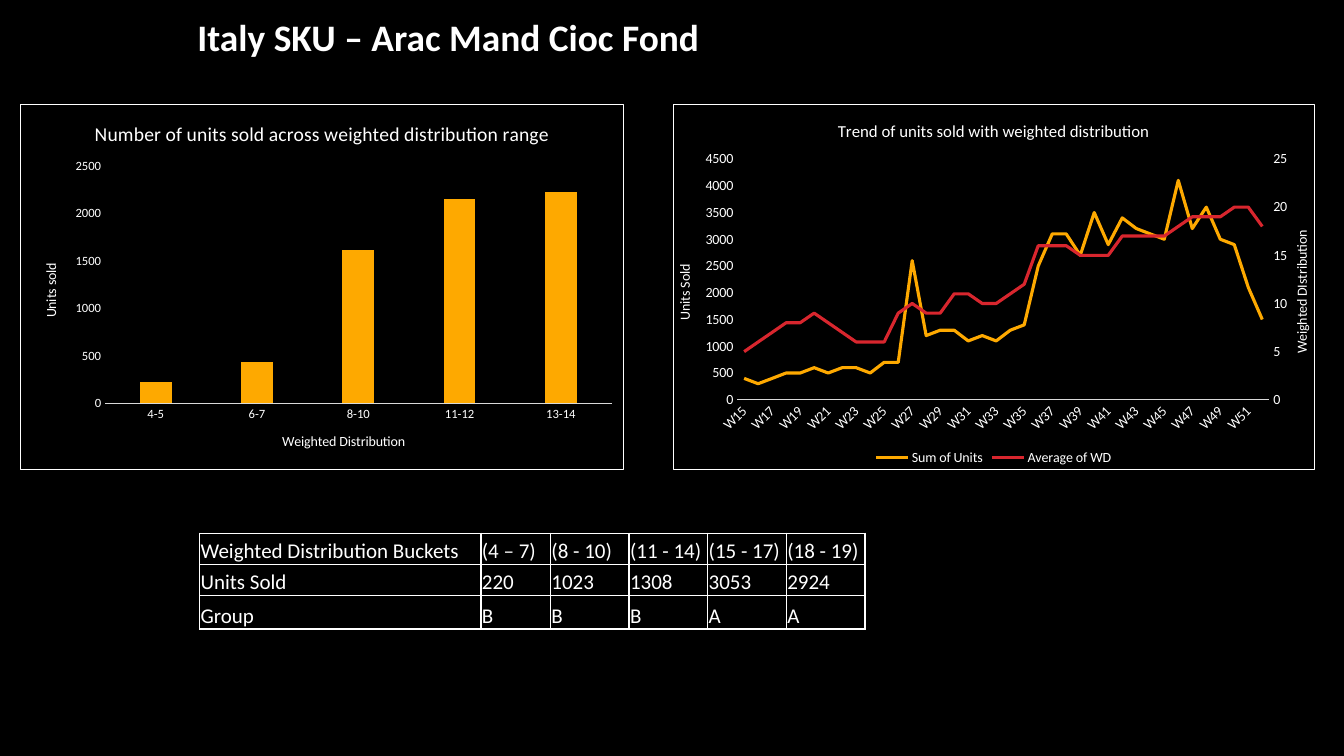
from copy import deepcopy

from lxml import etree
from pptx import Presentation
from pptx.chart.data import CategoryChartData
from pptx.dml.color import RGBColor
from pptx.enum.chart import XL_CHART_TYPE, XL_LEGEND_POSITION, XL_TICK_MARK
from pptx.enum.text import MSO_ANCHOR
from pptx.oxml import parse_xml
from pptx.oxml.ns import nsdecls, qn
from pptx.util import Inches, Pt

BLACK = RGBColor(0x00, 0x00, 0x00)
WHITE = RGBColor(0xFF, 0xFF, 0xFF)
AXIS_GREY = RGBColor(0xD9, 0xD9, 0xD9)
AMBER = RGBColor(0xFE, 0xA9, 0x00)
RED = RGBColor(0xD8, 0x26, 0x2E)
COLUMNS, LINES = XL_CHART_TYPE.COLUMN_CLUSTERED, XL_CHART_TYPE.LINE
NO_TICK = XL_TICK_MARK.NONE
LEGEND_BOTTOM = XL_LEGEND_POSITION.BOTTOM
BOTTOM, MIDDLE = MSO_ANCHOR.BOTTOM, MSO_ANCHOR.MIDDLE
FONT = "Calibri"

RANGES = ["4-5", "6-7", "8-10", "11-12", "13-14"]
RANGE_UNITS = [220, 440, 1620, 2160, 2230]
WEEKS = [f"W{week}" for week in range(15, 53)]
WEEK_UNITS = [400, 300, 400, 500, 500, 600, 500, 600, 600, 500, 700, 700, 2600,
              1200, 1300, 1300, 1100, 1200, 1100, 1300, 1400, 2500, 3100, 3100,
              2700, 3500, 2900, 3400, 3200, 3100, 3000, 4100, 3200, 3600, 3000,
              2900, 2100, 1500]
WEEK_DISTRIBUTION = [5, 6, 7, 8, 8, 9, 8, 7, 6, 6, 6, 9, 10, 9, 9, 11, 11, 10, 10,
                     11, 12, 16, 16, 16, 15, 15, 15, 17, 17, 17, 17, 18, 19, 19,
                     19, 20, 20, 18]
BUCKETS = [
    ["Weighted Distribution Buckets", "(4 – 7)", "(8 - 10)", "(11 - 14)",
     "(15 - 17)", "(18 - 19)"],
    ["Units Sold", "220", "1023", "1308", "3053", "2924"],
    ["Group", "B", "B", "B", "A", "A"],
]
BUCKET_WIDTHS = [2.79, 0.69, 0.78, 0.78, 0.78, 0.78]
BUCKET_HEIGHTS = [0.31, 0.31, 0.33]


def set_values(target, values):
    for key, value in values.items():
        setattr(target, key, value)


def set_font(font, size, bold=False):
    set_values(font, {"name": FONT, "size": Pt(size), "bold": bold})
    font.color.rgb = WHITE


def add_heading(slide, text):
    heading = slide.shapes.add_textbox(Inches(1.86), Inches(0.17),
                                       Inches(10.84), Inches(0.47))
    set_values(heading.text_frame, {"word_wrap": True, "vertical_anchor": MIDDLE})
    paragraph = heading.text_frame.paragraphs[0]
    paragraph.text = text
    paragraph.line_spacing = 0.8
    set_font(paragraph.runs[0].font, 26.7, bold=True)


def write_title(title, text, size):
    title.text_frame.text = text
    set_font(title.text_frame.paragraphs[0].runs[0].font, size)


def title_axis(axis, text, upright=False):
    axis.has_title = True
    write_title(axis.axis_title, text, 10)
    if upright:
        body = axis.axis_title.element.find(".//" + qn("a:bodyPr"))
        body.set("rot", "-5400000")
        body.set("vert", "horz")


def frame_chart(chart, plot_box):
    """Outline the chart area and place the inner plot area."""
    space = chart.element
    if space.find(qn("c:roundedCorners")) is None:
        space.find(qn("c:date1904")).addnext(
            parse_xml(f'<c:roundedCorners {nsdecls("c")} val="0"/>'))
    space.find(qn("c:chart")).addnext(parse_xml(
        f'<c:spPr {nsdecls("c", "a")}><a:noFill/><a:ln w="9525"><a:solidFill>'
        f'<a:srgbClr val="{WHITE}"/></a:solidFill></a:ln></c:spPr>'))
    plot_area = space.find(".//" + qn("c:plotArea"))
    for layout in plot_area.findall(qn("c:layout")):
        plot_area.remove(layout)
    places = "".join(f'<c:{key} val="{value}"/>'
                     for key, value in zip("xywh", plot_box))
    plot_area.insert(0, parse_xml(
        f'<c:layout {nsdecls("c")}><c:manualLayout><c:layoutTarget val="inner"/>'
        f'<c:xMode val="edge"/><c:yMode val="edge"/>{places}'
        '</c:manualLayout></c:layout>'))


def add_framed_chart(slide, kind, left, width, categories, series, title,
                     title_size, label_size, units_title, top_value, plot_box):
    data = CategoryChartData()
    data.categories = categories
    for name, values in series:
        data.add_series(name, values)
    chart = slide.shapes.add_chart(kind, Inches(left), Inches(1.03),
                                   Inches(width), Inches(3.63), data).chart
    set_font(chart.font, 10)
    set_values(chart, {"has_title": True, "has_legend": False})
    write_title(chart.chart_title, title, title_size)
    chart.plots[0].vary_by_categories = False
    for axis in (chart.category_axis, chart.value_axis):
        set_values(axis, {"has_major_gridlines": False, "major_tick_mark": NO_TICK,
                          "minor_tick_mark": NO_TICK})
        set_font(axis.tick_labels.font, label_size)
    chart.category_axis.format.line.color.rgb = AXIS_GREY
    chart.category_axis.format.line.width = Pt(0.75)
    chart.value_axis.format.line.fill.background()
    set_values(chart.value_axis, {"minimum_scale": 0, "maximum_scale": top_value,
                                  "major_unit": 500})
    title_axis(chart.value_axis, units_title, upright=True)
    frame_chart(chart, plot_box)
    return chart


def move_to_right_axis(chart, title, top_value, step):
    """Put the second line on its own value axis at the right."""
    plot_area = chart.element.find(".//" + qn("c:plotArea"))
    left_lines = plot_area.find(qn("c:lineChart"))
    right_lines = deepcopy(left_lines)
    left_lines.remove(left_lines.findall(qn("c:ser"))[1])
    right_lines.remove(right_lines.find(qn("c:ser")))
    left_lines.addnext(right_lines)
    weeks_axis, units_axis = (plot_area.find(qn(tag)) for tag in ("c:catAx", "c:valAx"))
    hidden_axis, right_axis = deepcopy(weeks_axis), deepcopy(units_axis)
    units_axis.addnext(right_axis)
    right_axis.addnext(hidden_axis)
    for axis_id, number in zip(right_lines.findall(qn("c:axId")), ("5001", "5002")):
        axis_id.set("val", number)
    changes = [
        (hidden_axis, {"axId": "5001", "crossAx": "5002", "delete": "1"}),
        (right_axis, {"axId": "5002", "crossAx": "5001", "axPos": "r",
                      "crosses": "max", "scaling/c:max": top_value,
                      "majorUnit": step}),
    ]
    for axis, values in changes:
        for tag, value in values.items():
            axis.find("c:" + tag, axis.nsmap).set("val", str(value))
    right_axis.find(".//" + qn("a:t")).text = title


def add_bucket_table(slide):
    table = slide.shapes.add_table(
        len(BUCKET_HEIGHTS), len(BUCKET_WIDTHS), Inches(1.98), Inches(5.29),
        Inches(sum(BUCKET_WIDTHS)), Inches(sum(BUCKET_HEIGHTS))).table
    set_values(table, {"first_row": False, "horz_banding": False})
    for column, width in zip(table.columns, BUCKET_WIDTHS):
        column.width = Inches(width)
    for row, height, texts in zip(table.rows, BUCKET_HEIGHTS, BUCKETS):
        row.height = Inches(height)
        for cell, text in zip(row.cells, texts):
            cell.text = text
            set_font(cell.text_frame.paragraphs[0].runs[0].font, 15)
            set_values(cell, {"vertical_anchor": BOTTOM, "margin_bottom": 0,
                              "margin_left": Inches(0.01), "margin_top": Inches(0.01),
                              "margin_right": Inches(0.01)})
            cell.fill.background()
            outline_cell(cell)


def outline_cell(cell):
    properties = cell._tc.get_or_add_tcPr()
    for index, side in enumerate("LRTB"):
        border = etree.Element(qn(f"a:ln{side}"), w=str(Pt(1)))
        fill = etree.SubElement(border, qn("a:solidFill"))
        etree.SubElement(fill, qn("a:srgbClr"), val=str(WHITE))
        properties.insert(index, border)


def main():
    deck = Presentation()
    set_values(deck, {"slide_width": Inches(13.33), "slide_height": Inches(7.5)})
    slide = deck.slides.add_slide(deck.slide_layouts[6])
    slide.background.fill.solid()
    slide.background.fill.fore_color.rgb = BLACK
    add_heading(slide, "Italy SKU – Arac Mand Cioc Fond")

    # Units by distribution range
    range_chart = add_framed_chart(
        slide, COLUMNS, 0.2, 5.99, RANGES, [("Series 1", RANGE_UNITS)],
        "Number of units sold across weighted distribution range", 14, 9,
        "Units sold", 2500, (0.14, 0.17, 0.84, 0.65))
    set_values(range_chart.plots[0], {"gap_width": 219, "overlap": -27})
    columns_fill = range_chart.plots[0].series[0].format.fill
    columns_fill.solid()
    columns_fill.fore_color.rgb = AMBER
    title_axis(range_chart.category_axis, "Weighted Distribution")

    # Weekly trend on two axes
    trend_chart = add_framed_chart(
        slide, LINES, 6.67, 6.37, WEEKS,
        [("Sum of Units", WEEK_UNITS), ("Average of WD", WEEK_DISTRIBUTION)],
        "Trend of units sold with weighted distribution", 12, 10,
        "Units Sold", 4500, (0.1, 0.15, 0.83, 0.66))
    for line, color in zip(trend_chart.plots[0].series, (AMBER, RED)):
        line.smooth = False
        line.format.line.color.rgb = color
        line.format.line.width = Pt(2.25)
    week_labels = trend_chart.element.find(
        f".//{qn('c:catAx')}/{qn('c:txPr')}/{qn('a:bodyPr')}")
    week_labels.set("rot", "-2700000")
    trend_chart.has_legend = True
    set_values(trend_chart.legend, {"position": LEGEND_BOTTOM,
                                    "include_in_layout": False})
    set_font(trend_chart.legend.font, 10)
    move_to_right_axis(trend_chart, "Weighted DIstribution", 25, 5)

    add_bucket_table(slide)
    deck.save("out.pptx")


if __name__ == "__main__":
    main()
